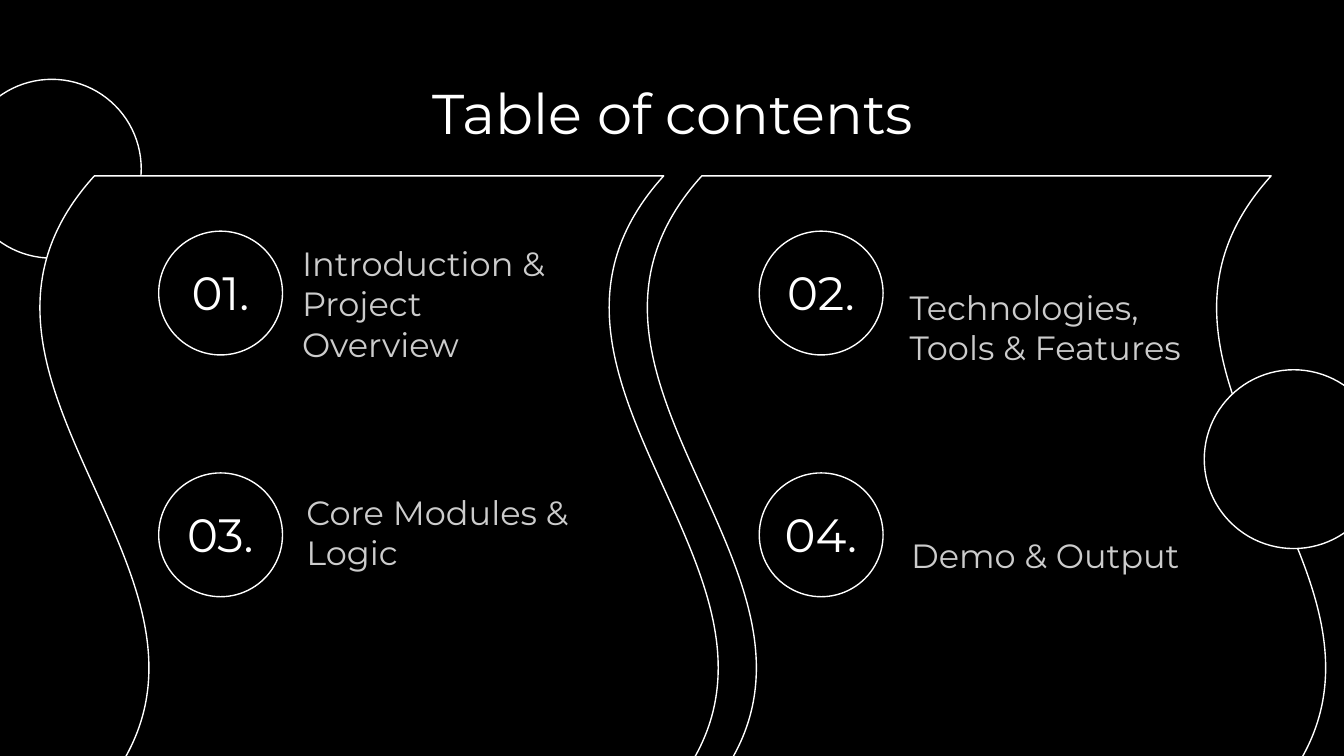
from pptx import Presentation
from pptx import util as u
from pptx.dml.color import RGBColor
from pptx.enum import shapes, text

BLACK, WHITE, GREY = "000000", "FFFFFF", "CCCCCC"


def add_outline(kind, left, top, width, height):
    """Add a black shape with a thin white line."""
    shape = page.shapes.add_shape(
        kind, u.Cm(left), u.Cm(top), u.Cm(width), u.Cm(height))
    shape.shadow.inherit = False
    shape.fill.solid()
    shape.fill.fore_color.rgb = RGBColor.from_string(BLACK)
    shape.line.color.rgb = RGBColor.from_string(WHITE)
    shape.line.width = u.Pt(0.75)
    return shape


def write(words, at, size, color=WHITE, align=text.PP_ALIGN.CENTER,
          anchor=text.MSO_ANCHOR.MIDDLE, box=None):
    """Put words into the given box, or into a new text box."""
    left, top, width, height = (u.Cm(value) for value in at)
    if box is None:
        box = page.shapes.add_textbox(left, top, width, height)
    box.left, box.top, box.width, box.height = left, top, width, height
    frame = box.text_frame
    frame.word_wrap = True
    frame.auto_size = text.MSO_AUTO_SIZE.NONE
    frame.vertical_anchor = anchor
    frame.margin_left = frame.margin_right = u.Cm(0.25)
    frame.margin_top = frame.margin_bottom = u.Cm(0.25)
    para = frame.paragraphs[0]
    para.alignment = align
    span = para.add_run()
    span.text = words
    span.font.name = "Montserrat"
    span.font.size = u.Pt(size)
    span.font.color.rgb = RGBColor.from_string(color)


deck = Presentation()
deck.slide_width, deck.slide_height = u.Cm(25.4), u.Cm(14.29)
page = deck.slides.add_slide(deck.slide_layouts[5])
page.background.fill.solid()
page.background.fill.fore_color.rgb = RGBColor.from_string(BLACK)

# Backdrop: two upright waves between two large circles
oval = shapes.MSO_SHAPE.OVAL
add_outline(oval, -0.71, 1.5, 3.38, 3.38)
for left in (1.27, 12.75):
    wave = add_outline(shapes.MSO_SHAPE.WAVE, left, 2.77, 11.79, 12.9)
    wave.adjustments[0] = 0.083
    wave.adjustments[1] = 0
    wave.rotation = 270
    wave.element.spPr.xfrm.set("flipH", "1")
add_outline(oval, 22.76, 6.99, 3.38, 3.38)

write("Table of contents", (2.01, 1.24, 21.41, 1.6), 30,
      anchor=text.MSO_ANCHOR.TOP, box=page.shapes.title)

# Two columns by two rows of numbered topics
columns, rows = (3, 14.35), (4.37, 8.94)
topics = [
    ("Introduction & Project Overview", (5.46, 3.78, 5.79, 3.35)),
    ("Technologies, Tools & Features", (16.94, 4.37, 5.79, 2.82)),
    ("Core Modules & Logic", (5.54, 9.14, 5.79, 1.93)),
    ("Demo & Output", (16.97, 9.14, 5.82, 1.98)),
]
for index, (topic, at) in enumerate(topics):
    left, top = columns[index % 2], rows[index // 2]
    add_outline(oval, left, top, 2.34, 2.34)
    write(f"{index + 1:02}.", (left - 0.08, top + 0.66, 2.49, 0.99), 25)
    write(topic, at, 18, color=GREY, align=text.PP_ALIGN.LEFT,
          anchor=text.MSO_ANCHOR.BOTTOM)

deck.save("out.pptx")
